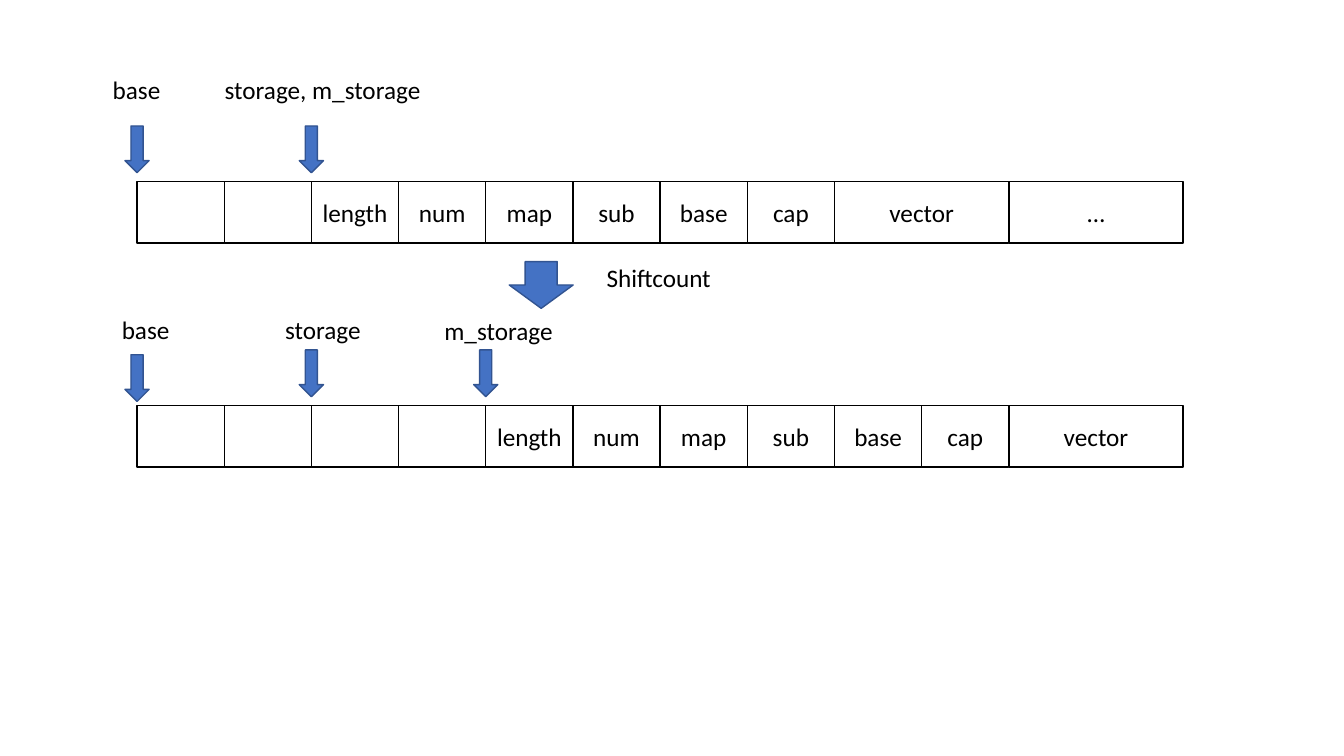
from dataclasses import dataclass

from pptx import Presentation
from pptx.dml.color import RGBColor as Rgb
from pptx.enum.shapes import MSO_SHAPE as Kind
from pptx.enum.text import MSO_ANCHOR as Anchor, MSO_AUTO_SIZE as Fit, PP_ALIGN as Align
from pptx.util import Pt

HEX = {"black": "000000", "white": "FFFFFF", "blue": "4472C4", "navy": "325491"}
FONT = {"name": "Calibri", "size": Pt(18)}
LEFT, UNIT, TALL = 97.9, 62.27, 43.9
THIN, HEAD = 17.3, 33.4


@dataclass
class Cell:
    """A memory slot and its width in units."""
    text: str = ""
    span: int = 1


@dataclass
class Label:
    """A line of text and its box."""
    text: str
    left: float
    top: float
    wide: float


@dataclass
class Mark:
    """A pointer arrow above a slot edge."""
    slot: int
    top: float


def color(name: str) -> Rgb:
    """Look up a named colour."""
    return Rgb.from_string(HEX[name])


def write(frame, text: str, align: Align) -> None:
    """Put formatted text in a frame."""
    para = frame.paragraphs[0]
    para.alignment = align
    run = para.add_run()
    run.text = text
    for key, value in FONT.items():
        setattr(run.font, key, value)
    run.font.color.rgb = color("black")


def block(kind: Kind, box: tuple[float, ...], fill: str, edge: str):
    """Draw a filled shape with a thin outline."""
    shape = slide.shapes.add_shape(kind, *map(Pt, box))
    shape.shadow.inherit = False
    shape.fill.solid()
    shape.fill.fore_color.rgb = color(fill)
    shape.line.color.rgb = color(edge)
    shape.line.width = Pt(1)
    return shape


def strip(cells: list[Cell], top: float) -> None:
    """Draw a row of slots."""
    slot = 0
    for cell in cells:
        box = (LEFT + slot * UNIT, top, cell.span * UNIT, TALL)
        shape = block(Kind.RECTANGLE, box, "white", "black")
        if cell.text:
            shape.text_frame.vertical_anchor = Anchor.MIDDLE
            write(shape.text_frame, cell.text, Align.CENTER)
        slot += cell.span


def arrow(mid: float, top: float, wide: float) -> None:
    """Draw a down arrow centred on a line."""
    block(Kind.DOWN_ARROW, (mid - wide / 2, top, wide, HEAD), "blue", "navy")


def note(label: Label) -> None:
    """Draw a free text label."""
    box = slide.shapes.add_textbox(*map(Pt, (label.left, label.top, label.wide, 29)))
    box.text_frame.word_wrap = False
    box.text_frame.auto_size = Fit.SHAPE_TO_FIT_TEXT
    write(box.text_frame, label.text, Align.LEFT)


deck = Presentation()
deck.slide_width, deck.slide_height = Pt(960), Pt(540)
slide = deck.slides.add_slide(deck.slide_layouts[6])

names = ["length", "num", "map", "sub", "base", "cap"]
data = [Cell(name) for name in names] + [Cell("vector", 2)]
strip([Cell()] * 2 + data + [Cell("…", 2)], 129.6)
strip([Cell()] * 4 + data, 289.6)

for mark in [Mark(0, 90), Mark(2, 90), Mark(0, 253.4), Mark(2, 250), Mark(4, 250)]:
    arrow(LEFT + mark.slot * UNIT, mark.top, THIN)
arrow(386.6, 186.9, 45.7)

for label in [
    Label("base", 73.4, 49.7, 49),
    Label("storage, m_storage", 153.4, 49.7, 155.5),
    Label("Shiftcount", 426.2, 183.8, 90),
    Label("base", 79.9, 221, 49),
    Label("storage", 196.6, 221, 69),
    Label("m_storage", 310.3, 221.8, 93),
]:
    note(label)

deck.save("out.pptx")
